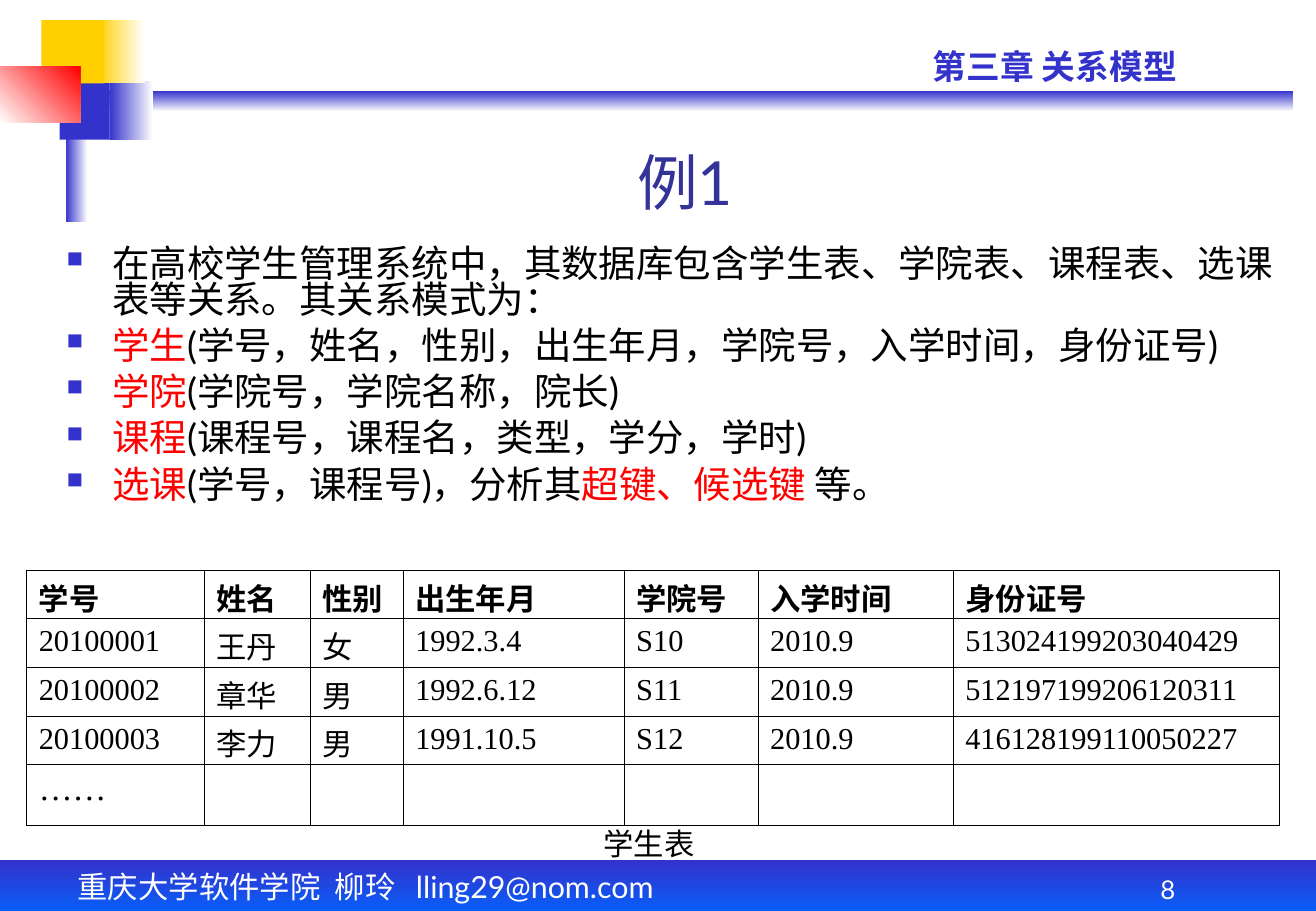
from lxml import etree
from pptx import Presentation
from pptx.dml.color import RGBColor
from pptx.enum import shapes, text
from pptx.oxml import ns
from pptx.util import Pt

THEME = {
    "blue": "3333CC", "sky": "0066FF", "gold": "FFCF01", "red": "FF0000",
    "white": "FFFFFF", "black": "000000", "title": "333399",
    "sans": "Lato", "cjk": "Noto Sans CJK SC", "serif": "Times New Roman",
    "sizes": {"title": 36, "body": 22.2, "chapter": 20, "text": 18, "page": 15.3},
}
SIZES = THEME["sizes"]
SLIDE_SIZE = (780.13, 540)

# left, top, width, height, colours, direction of the gradient (clockwise)
DECOR = [
    ((45.4, 54, 721.4, 12.2), ("blue", "white"), 90),
    ((64.8, 48.2, 25.9, 34.6), ("blue", "white"), 0),
    ((0, 509.8, 780, 36), ("blue", "sky"), 90),
    ((38.9, 41.8, 13, 90), ("blue", "white"), 0),
    ((35.3, 48.2, 29.5, 34.6), ("blue",), 0),
    ((57.6, 12, 28.1, 37.4), ("gold", "white"), 0),
    ((24.5, 12, 37.4, 37.4), ("gold",), 0),
    ((0, 39.6, 47.5, 33.1), ("white", "red"), 315),
]

FOOTER = "重庆大学软件学院\t柳玲\tlling29@nom.com"
FOOTER_TABS = (152.6, 200.6)
# box, text, size, colour, font, further formats
LABELS = [
    ((38.9, 511.2, 435.6, 28.8), FOOTER, "text", "white", "sans", {}),
    ((545.8, 23.8, 221, 31.7), "第三章 关系模型", "chapter", "blue", "sans", {"bold": True}),
    ((630.7, 509.8, 123.1, 30.2), "8", "page", "white", "sans",
     {"align": "CENTER", "anchor": "BOTTOM"}),
    ((97.2, 84.2, 617.8, 48.2), "例1", "title", "title", "sans",
     {"align": "CENTER", "anchor": "BOTTOM"}),
    ((350.6, 485.3, 68.4, 28.8), "学生表", "text", "black", "cjk",
     {"anchor": "MIDDLE", "wrap": False}),
]

BODY_BOX = (32.4, 144, 747.4, 188.6)
BODY = [
    [("在高校学生管理系统中，其数据库包含学生表、学院表、课程表、选课表等关系。其关系模式为：", "black")],
    [("学生", "red"), ("(学号，姓名，性别，出生年月，学院号，入学时间，身份证号)", "black")],
    [("学院", "red"), ("(学院号，学院名称，院长)", "black")],
    [("课程", "red"), ("(课程号，课程名，类型，学分，学时)", "black")],
    [("选课", "red"), ("(学号，课程号)，分析其", "black"), ("超键、候选键", "red"), (" 等。", "black")],
]

STUDENTS_AT = (15.8, 338)
STUDENTS = [
    ("学号", "姓名", "性别", "出生年月", "学院号", "入学时间", "身份证号"),
    ("20100001", "王丹", "女", "1992.3.4", "S10", "2010.9", "513024199203040429"),
    ("20100002", "章华", "男", "1992.6.12", "S11", "2010.9", "512197199206120311"),
    ("20100003", "李力", "男", "1991.10.5", "S12", "2010.9", "416128199110050227"),
    ("……", "", "", "", "", "", ""),
]
COL_WIDTHS = (105.4, 62.8, 55, 131, 79.4, 115.7, 193.2)
ROW_HEIGHTS = (28.8, 28.8, 28.8, 28.8, 36)
CJK_COLUMNS = (1, 2)


def rgb(name):
    return RGBColor.from_string(THEME[name])


def pts(values):
    return [Pt(v) for v in values]


def sub(parent, tag, **attrs):
    return etree.SubElement(parent, ns.qn(tag), attrs)


def add_run(p, words, size, color, font, bold=False):
    r = p.add_run()
    r.text = words
    formats = {"name": THEME[font], "size": Pt(size), "bold": bold}
    for key, value in formats.items():
        setattr(r.font, key, value)
    r.font.color.rgb = rgb(color)
    east = THEME["serif" if font == "serif" else "cjk"]
    r.font._element.find(ns.qn("a:latin")).addnext(
        etree.Element(ns.qn("a:ea"), typeface=east))


def add_decor(slide, box, colors, angle):
    sp = slide.shapes.add_shape(shapes.MSO_SHAPE.RECTANGLE, *pts(box))
    sp.shadow.inherit = False
    sp.line.fill.background()
    if len(colors) == 1:
        sp.fill.solid()
        sp.fill.fore_color.rgb = rgb(colors[0])
        return
    sp.fill.gradient()
    sp.fill.gradient_angle = (360 - angle) % 360
    for stop, color, position in zip(sp.fill.gradient_stops, colors, (0, 1)):
        stop.color.rgb = rgb(color)
        stop.position = position


def add_box(slide, box, wrap=True, anchor="TOP"):
    tf = slide.shapes.add_textbox(*pts(box)).text_frame
    tf.word_wrap = wrap
    tf.vertical_anchor = text.MSO_ANCHOR[anchor]
    return tf


def add_label(slide, box, words, size, color, font, formats):
    tf = add_box(slide, box, formats.get("wrap", True), formats.get("anchor", "TOP"))
    p = tf.paragraphs[0]
    p.alignment = text.PP_ALIGN[formats.get("align", "LEFT")]
    if "\t" in words:
        tabs = sub(p._p.get_or_add_pPr(), "a:tabLst")
        for stop in FOOTER_TABS:
            sub(tabs, "a:tab", pos=str(Pt(stop)), algn="l")
    add_run(p, words, SIZES[size], color, font, formats.get("bold", False))


def add_bullet(p):
    """Square bullet: the letter n of Wingdings."""
    pPr = p._p.get_or_add_pPr()
    pPr.set("marL", str(Pt(27)))
    pPr.set("indent", str(Pt(-27)))
    sub(sub(pPr, "a:buClr"), "a:srgbClr", val=THEME["blue"])
    sub(pPr, "a:buSzPct", val="60000")
    sub(pPr, "a:buFont", typeface="Wingdings", charset="2")
    sub(pPr, "a:buChar", char="n")


def add_body(slide):
    tf = add_box(slide, BODY_BOX)
    for i, runs in enumerate(BODY):
        p = tf.add_paragraph() if i else tf.paragraphs[0]
        p.line_spacing = 0.8
        p.space_before = Pt(6 if i else 0)
        add_bullet(p)
        for words, color in runs:
            add_run(p, words, SIZES["body"], color, "sans")


def add_borders(cell):
    tcPr = cell._tc.get_or_add_tcPr()
    for i, side in enumerate("LRTB"):
        ln = etree.Element(ns.qn(f"a:ln{side}"), w=str(Pt(0.45)))
        sub(sub(ln, "a:solidFill"), "a:srgbClr", val=THEME["black"])
        tcPr.insert(i, ln)


def add_students(slide):
    size = (sum(COL_WIDTHS), sum(ROW_HEIGHTS))
    table = slide.shapes.add_table(
        len(STUDENTS), len(COL_WIDTHS), *pts(STUDENTS_AT + size)).table
    table.first_row = table.horz_banding = False
    for column, width in zip(table.columns, COL_WIDTHS):
        column.width = Pt(width)
    for row, height in zip(table.rows, ROW_HEIGHTS):
        row.height = Pt(height)
    for i, record in enumerate(STUDENTS):
        for j, words in enumerate(record):
            cell = table.cell(i, j)
            cjk = i == 0 or j in CJK_COLUMNS
            # the taller CJK line has to fit the same row height
            cell.margin_top = Pt(2.7 if cjk else 3.6)
            cell.margin_bottom = 0
            cell.fill.background()
            add_borders(cell)
            if words:
                points = SIZES["chapter" if words == "……" else "text"]
                add_run(cell.text_frame.paragraphs[0], words, points, "black",
                        "cjk" if cjk else "serif", bold=i == 0)


def main():
    prs = Presentation()
    prs.slide_width, prs.slide_height = pts(SLIDE_SIZE)
    slide = prs.slides.add_slide(prs.slide_layouts[6])
    for decor in DECOR:
        add_decor(slide, *decor)
    for label in LABELS:
        add_label(slide, *label)
    add_body(slide)
    add_students(slide)
    prs.save("out.pptx")


if __name__ == "__main__":
    main()
